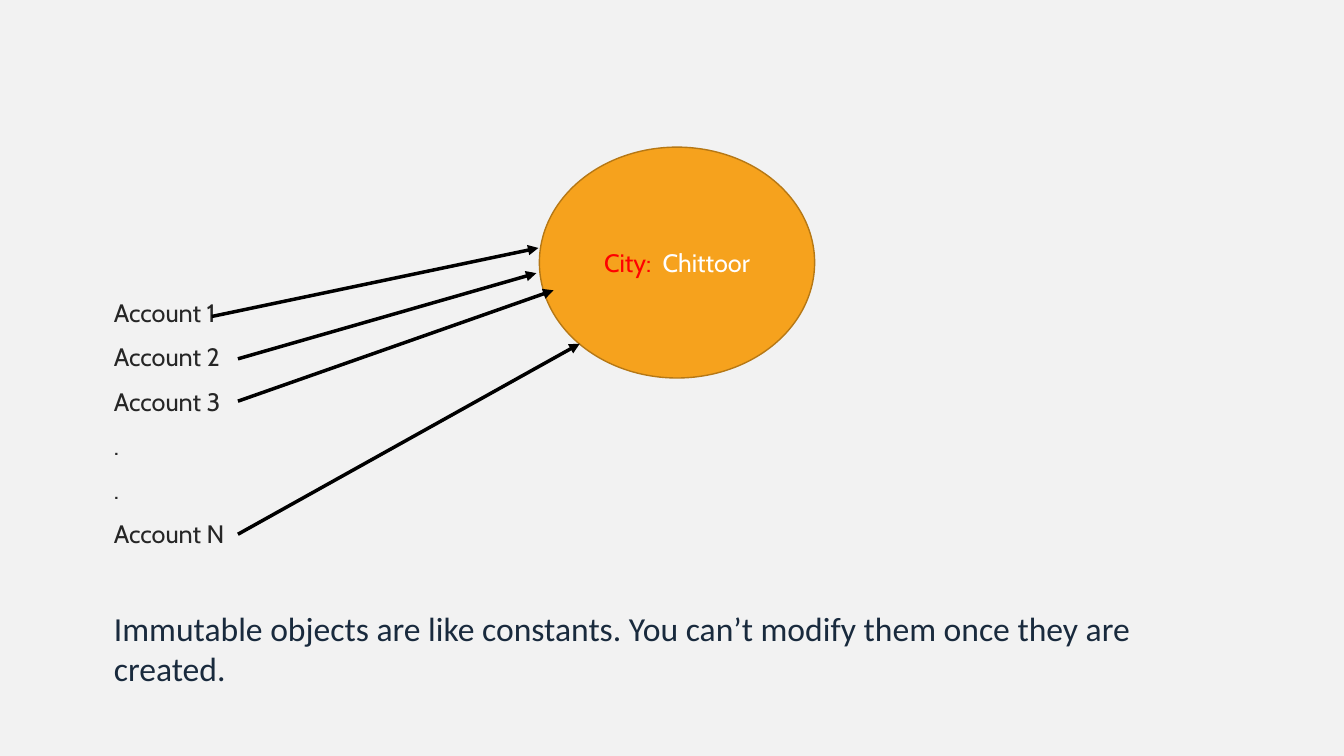
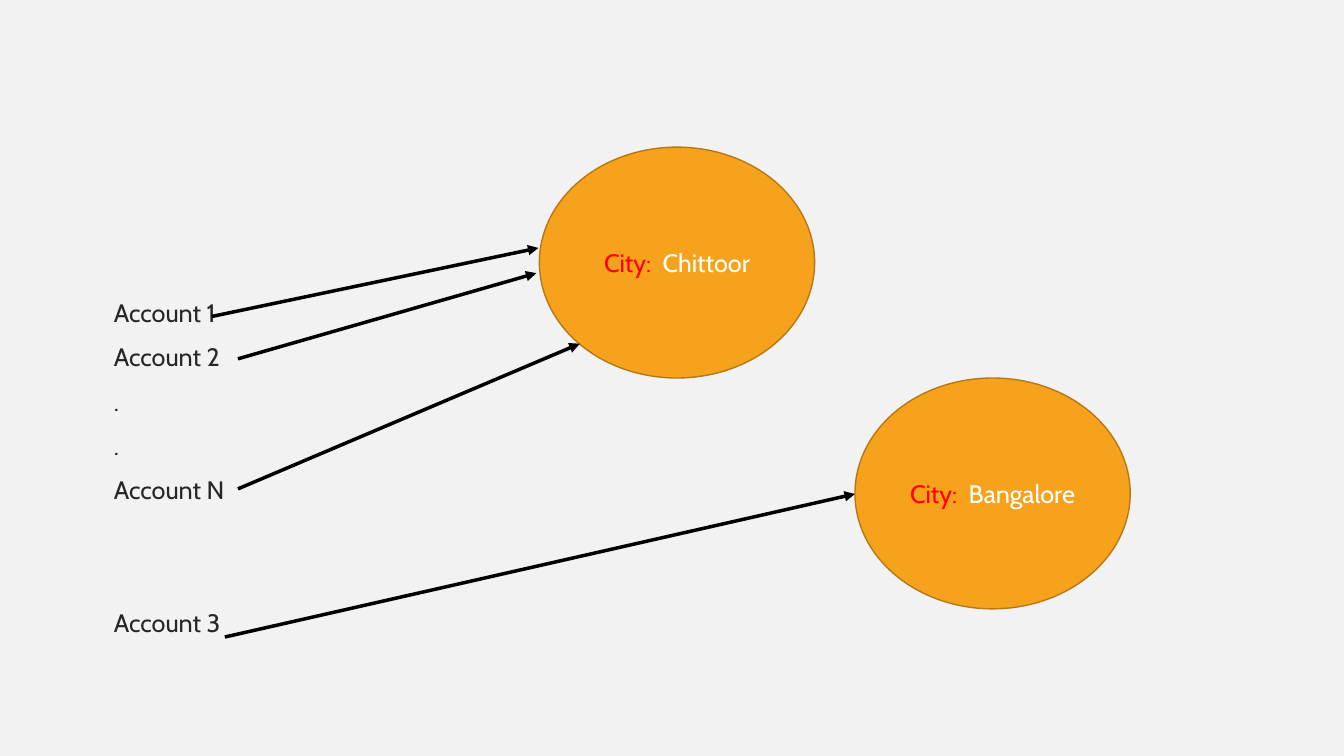
from lxml.etree import SubElement
from pptx import Presentation
from pptx.dml.color import RGBColor
from pptx.enum.shapes import MSO_CONNECTOR as Connector, MSO_SHAPE as Shape
from pptx.enum.text import MSO_ANCHOR as Anchor, PP_ALIGN as Align
from pptx.oxml.ns import qn
from pptx.util import Inches, Pt

PAPER = RGBColor(0xF2, 0xF2, 0xF2)
ORANGE = RGBColor(0xF6, 0xA2, 0x1D)
BROWN = RGBColor(0xB6, 0x78, 0x15)
RED = RGBColor(0xFF, 0x00, 0x00)
WHITE = RGBColor(0xFF, 0xFF, 0xFF)
BLACK = RGBColor(0x00, 0x00, 0x00)
CHARCOAL = RGBColor(0x26, 0x26, 0x26)
NAVY = RGBColor(0x19, 0x2A, 0x3D)

LABEL_FONT, NOTE_FONT = "Cabin", "Calibri"
TEXT_LEFT, TEXT_WIDTH = 1.13, 10.6
FIRST_ROW, ROW_PITCH = 2.95, 0.44
CITY_WIDTH, CITY_HEIGHT = 2.73, 2.29
CHITTOOR = (5.35, 1.46)
BANGALORE = (CHITTOOR[0] + 3.13, CHITTOOR[1] + CITY_HEIGHT)


class Deck:
    """Holds the shared style and the slide being built."""

    def __init__(self):
        self.deck = Presentation()
        self.deck.slide_width = Inches(13.33)
        self.deck.slide_height = Inches(7.5)
        self.page = None

    def add_page(self):
        self.page = self.deck.slides.add_slide(self.deck.slide_layouts[6])
        fill = self.page.background.fill
        fill.solid()
        fill.fore_color.rgb = PAPER

    def add_span(self, para, text, color, font=LABEL_FONT, size=18):
        span = para.add_run()
        span.text = text
        span.font.name = font
        span.font.size = Pt(size)
        span.font.color.rgb = color

    def text_frame(self, row, height):
        """Add a text box without margins whose top is on the given row."""
        box = self.page.shapes.add_textbox(
            Inches(TEXT_LEFT), Inches(FIRST_ROW + row * ROW_PITCH),
            Inches(TEXT_WIDTH), Inches(height))
        frame = box.text_frame
        frame.word_wrap = True
        frame.margin_left = frame.margin_right = 0
        frame.margin_top = frame.margin_bottom = 0
        return frame

    def accounts(self, labels, row=0):
        frame = self.text_frame(row, len(labels) * ROW_PITCH)
        for index, label in enumerate(labels):
            para = frame.add_paragraph() if index else frame.paragraphs[0]
            para.space_before = Pt(10 if index else 0)
            para.line_spacing = Pt(21.6)
            self.add_span(para, label, CHARCOAL)

    def statement(self, text, row):
        para = self.text_frame(row, 0.85).paragraphs[0]
        self.add_span(para, text, NAVY, NOTE_FONT, 24)

    def city(self, name, position):
        left, top = position
        oval = self.page.shapes.add_shape(
            Shape.OVAL, Inches(left), Inches(top),
            Inches(CITY_WIDTH), Inches(CITY_HEIGHT))
        oval.shadow.inherit = False
        oval.fill.solid()
        oval.fill.fore_color.rgb = ORANGE
        oval.line.color.rgb = BROWN
        oval.line.width = Pt(1)
        oval.text_frame.vertical_anchor = Anchor.MIDDLE
        para = oval.text_frame.paragraphs[0]
        para.alignment = Align.CENTER
        self.add_span(para, "City:  ", RED)
        self.add_span(para, name, WHITE)

    def arrow(self, start, end):
        line = self.page.shapes.add_connector(
            Connector.STRAIGHT, *(Inches(value) for value in start + end))
        line.line.color.rgb = BLACK
        line.line.width = Pt(2.5)
        properties = line._element.spPr
        SubElement(properties.find(qn("a:ln")), qn("a:tailEnd"), type="triangle")
        SubElement(properties, qn("a:effectLst"))

    def chittoor(self, last_account_y):
        """Add the first city with the arrows of accounts 1, 2 and N."""
        self.city("Chittoor", CHITTOOR)
        self.arrow((2.1, 3.14), (5.34, 2.46))
        self.arrow((2.36, 3.56), (5.32, 2.71))
        self.arrow((2.36, last_account_y), (5.75, 3.41))


def main():
    deck = Deck()

    deck.add_page()
    deck.accounts(["Account 1", "Account 2", "Account 3", ".", ".", "Account N"])
    deck.statement("Immutable objects are like constants. "
                   "You can’t modify them once they are created.", row=7)
    deck.chittoor(last_account_y=5.3)
    deck.arrow((2.36, 3.98), (5.49, 2.88))

    deck.add_page()
    deck.accounts(["Account 1", "Account 2", ".", ".", "Account N"])
    deck.accounts(["Account 3"], row=7)
    deck.chittoor(last_account_y=4.85)
    deck.city("Bangalore", BANGALORE)
    deck.arrow((2.23, 6.32), (BANGALORE[0], 4.9))

    deck.deck.save("out.pptx")


if __name__ == "__main__":
    main()
